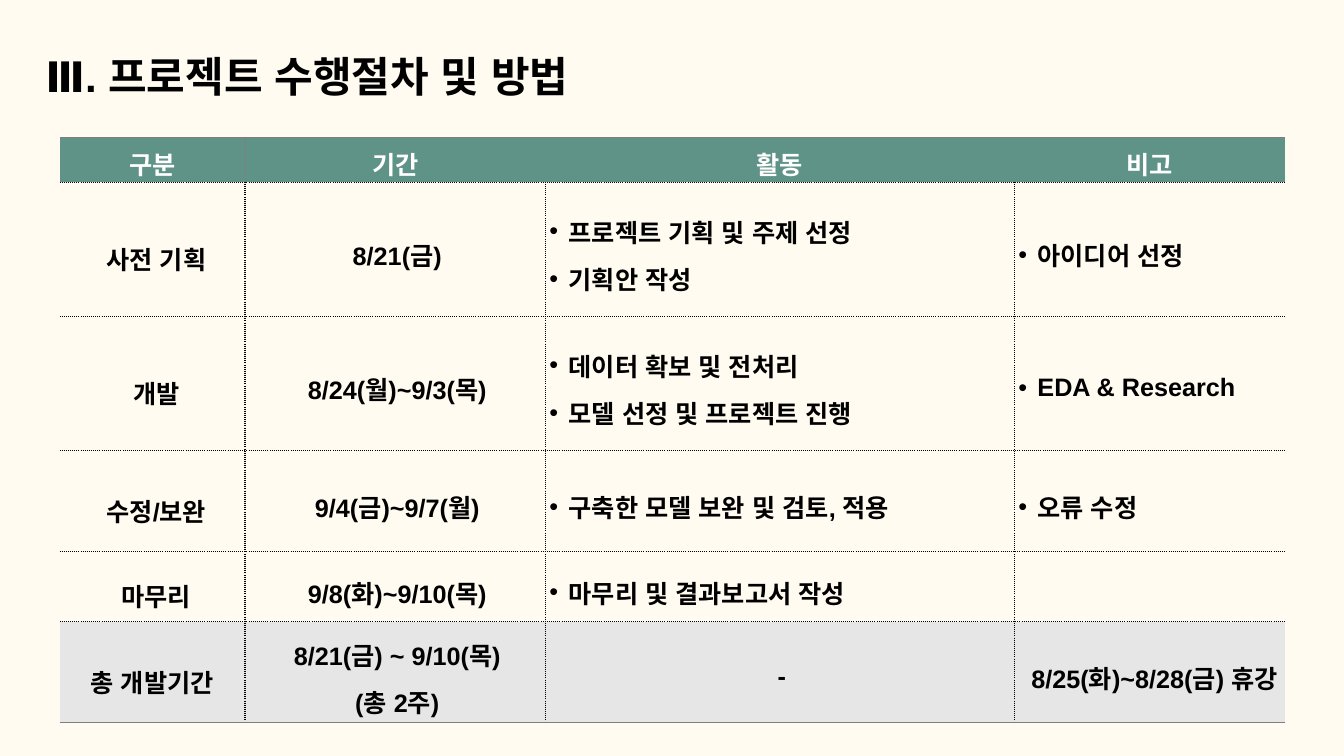
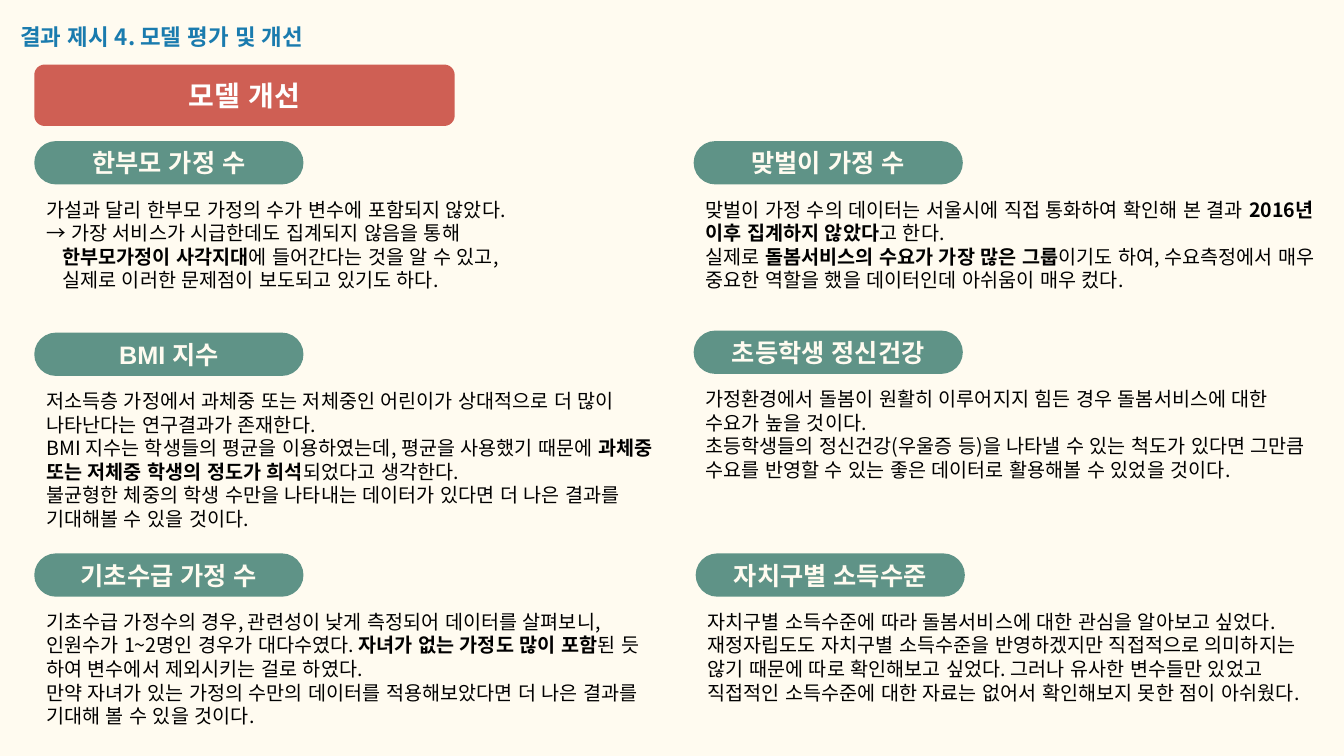
from lxml.etree import SubElement
from pptx import Presentation
from pptx.dml.color import RGBColor
from pptx.enum.lang import MSO_LANGUAGE_ID as Language
from pptx.enum.shapes import MSO_SHAPE as Shape
from pptx.enum.text import MSO_ANCHOR as Anchor, MSO_AUTO_SIZE as AutoSize, PP_ALIGN as Align
from pptx.oxml.ns import qn
from pptx.util import Inches, Pt

COLORS = {
    "cream": "FFFBF0",
    "green": "5F9387",
    "red": "CF5F54",
    "blue": "1A7BAE",
    "total": "E7E6E6",
    "rule": "7F7F7F",
    "black": "000000",
    "white": "FFFFFF",
}
HEADING_FONT = "Arial"
BODY_FONT = "Noto Sans CJK KR"
LABEL_FONT = "Roboto Condensed"

CARD_CORNERS = (
    ((0.34, 1.4), (0.34, 3.3), (0.34, 5.49)),
    ((6.88, 1.4), (6.88, 3.28), (6.9, 5.49)),
)
PILL_SIZE = (2.67, 0.43)
BODY_OFFSET = (0.02, 0.46)
BODY_SIZE = (6.32, 0.84)

COLUMN_WIDTHS = (1.84, 2.98, 4.65, 2.69)
ROW_HEIGHTS = (0.45, 1.33, 1.33, 1, 0.7, 1)
HEADERS = ("구분", "기간", "활동", "비고")
SCHEDULE = (
    ("사전 기획", ["8/21(금)"], ["프로젝트 기획 및 주제 선정", "기획안 작성"], ["아이디어 선정"]),
    ("개발", ["8/24(월)~9/3(목)"], ["데이터 확보 및 전처리", "모델 선정 및 프로젝트 진행"], ["EDA & Research"]),
    ("수정/보완", ["9/4(금)~9/7(월)"], ["구축한 모델 보완 및 검토, 적용"], ["오류 수정"]),
    ("마무리", ["9/8(화)~9/10(목)"], ["마무리 및 결과보고서 작성"], []),
)
TOTAL = ("총 개발기간", ["8/21(금) ~ 9/10(목)", "(총 2주)"], ["-"], ["8/25(화)~8/28(금) 휴강"])

CARDS = (
    (0, 0, "한부모 가정 수", (
        (0, "가설과 달리 한부모 가정의 수가 변수에 포함되지 않았다."),
        (0, "→ 가장 서비스가 시급한데도 집계되지 않음을 통해"),
        (0.16, "**한부모가정이 사각지대**에 들어간다는 것을 알 수 있고,"),
        (0.16, "실제로 이러한 문제점이 보도되고 있기도 하다."),
    )),
    (0, 1, "BMI 지수", (
        (0, "저소득층 가정에서 과체중 또는 저체중인 어린이가 상대적으로 더 많이 나타난다는 연구결과가 존재한다."),
        (0, "BMI 지수는 학생들의 평균을 이용하였는데, 평균을 사용했기 때문에 "
            "**과체중 또는 저체중 학생의 정도가 희석**되었다고 생각한다."),
        (0, "불균형한 체중의 학생 수만을 나타내는 데이터가 있다면 더 나은 결과를 기대해볼 수 있을 것이다."),
    )),
    (0, 2, "기초수급 가정 수", (
        (0, "기초수급 가정수의 경우, 관련성이 낮게 측정되어 데이터를 살펴보니, 인원수가 1~2명인 경우가 대다수였다. "
            "**자녀가 없는 가정도 많이 포함**된 듯 하여 변수에서 제외시키는 걸로 하였다."),
        (0, "만약 자녀가 있는 가정의 수만의 데이터를 적용해보았다면 더 나은 결과를 기대해 볼 수 있을 것이다."),
    )),
    (1, 0, "맞벌이 가정 수", (
        (0, "맞벌이 가정 수의 데이터는 서울시에 직접 통화하여 확인해 본 결과 "
            "**2016년 이후 집계하지 않았다**고 한다."),
        (0, "실제로 **돌봄서비스의 수요가 가장 많은 그룹**이기도 하여, "
            "수요측정에서 매우 중요한 역할을 했을 데이터인데 아쉬움이 매우 컸다."),
    )),
    (1, 1, "초등학생 정신건강", (
        (0, "가정환경에서 돌봄이 원활히 이루어지지 힘든 경우 돌봄서비스에 대한 수요가 높을 것이다."),
        (0, "초등학생들의 정신건강(우울증 등)을 나타낼 수 있는 척도가 있다면 "
            "그만큼 수요를 반영할 수 있는 좋은 데이터로 활용해볼 수 있었을 것이다."),
    )),
    (1, 2, "자치구별 소득수준", (
        (0, "자치구별 소득수준에 따라 돌봄서비스에 대한 관심을 알아보고 싶었다. "
            "재정자립도도 자치구별 소득수준을 반영하겠지만 직접적으로 의미하지는 않기 때문에 따로 확인해보고 싶었다. "
            "그러나 유사한 변수들만 있었고 직접적인 소득수준에 대한 자료는 없어서 확인해보지 못한 점이 아쉬웠다."),
    )),
)


def rgb(name):
    return RGBColor.from_string(COLORS[name])


def style(font, size, color, name=HEADING_FONT, bold=True):
    font.size = Pt(size)
    font.color.rgb = rgb(color)
    font.name = name
    font.bold = bold
    font.language_id = Language.KOREAN
    font._rPr.set("kern", "0")


def set_insets(frame, left, top, right, bottom):
    frame.margin_left, frame.margin_top = Inches(left), Inches(top)
    frame.margin_right, frame.margin_bottom = Inches(right), Inches(bottom)


def indent(paragraph, left, first=0):
    props = paragraph._p.get_or_add_pPr()
    props.set("marL", str(Inches(left)))
    props.set("indent", str(Inches(first)))
    return props


def add_bullet(paragraph):
    props = indent(paragraph, 0.19, -0.19)
    defaults = props.find(qn("a:defRPr"))
    bullet_color = SubElement(props, qn("a:buClr"))
    SubElement(bullet_color, qn("a:srgbClr")).set("val", COLORS["black"])
    SubElement(props, qn("a:buFont")).set("typeface", HEADING_FONT)
    SubElement(props, qn("a:buChar")).set("char", "•")
    props.append(defaults)


def add_title_slide(deck, box, runs, size, color):
    slide = deck.slides.add_slide(deck.slide_layouts[5])
    title = slide.shapes.title
    title.left, title.top, title.width, title.height = map(Inches, box)
    frame = title.text_frame
    frame.auto_size = AutoSize.NONE
    frame.word_wrap = True
    frame.vertical_anchor = Anchor.TOP
    set_insets(frame, 0.1, 0.1, 0.1, 0.1)
    heading = frame.paragraphs[0]
    heading.alignment = Align.LEFT
    for text, font_name in runs:
        run = heading.add_run()
        run.text = text
        style(run.font, size, color, font_name)
    return slide


def add_label(slide, box, text, fill, color, size, rounding):
    label = slide.shapes.add_shape(Shape.ROUNDED_RECTANGLE, *map(Inches, box))
    label.adjustments[0] = rounding
    label.shadow.inherit = False
    label.fill.solid()
    label.fill.fore_color.rgb = rgb(fill)
    label.line.fill.background()
    frame = label.text_frame
    frame.vertical_anchor = Anchor.MIDDLE
    caption = frame.paragraphs[0]
    caption.text = text
    caption.alignment = Align.CENTER
    style(caption.font, size, color)


def add_body(slide, box, lines):
    frame = slide.shapes.add_textbox(*map(Inches, box)).text_frame
    frame.word_wrap = True
    set_insets(frame, 0.1, 0.1, 0.1, 0.1)
    for index, (left, text) in enumerate(lines):
        paragraph = frame.add_paragraph() if index else frame.paragraphs[0]
        if left:
            indent(paragraph, left)
        for part, words in enumerate(text.split("**")):
            if words:
                run = paragraph.add_run()
                run.text = words
                style(run.font, 14, "black", BODY_FONT, part % 2 == 1)


def add_card(slide, column, row, heading, lines):
    left, top = CARD_CORNERS[column][row]
    add_label(slide, (left, top, *PILL_SIZE), heading, "green", "cream", 18, 0.5)
    add_body(slide, (left + BODY_OFFSET[0], top + BODY_OFFSET[1], *BODY_SIZE), lines)


def set_borders(cell, borders):
    props = cell._tc.get_or_add_tcPr()
    for side in "LRTB":
        line = SubElement(props, qn(f"a:ln{side}"))
        if side not in borders:
            SubElement(line, qn("a:noFill"))
            continue
        color, width, dash = borders[side]
        line.set("w", str(Pt(width)))
        fill = SubElement(line, qn("a:solidFill"))
        SubElement(fill, qn("a:srgbClr")).set("val", COLORS[color])
        SubElement(line, qn("a:prstDash")).set("val", dash)


def cell_borders(row, column):
    dotted, solid = ("black", 1, "sysDot"), ("rule", 0.75, "solid")
    last_row, last_column = len(ROW_HEIGHTS) - 1, len(COLUMN_WIDTHS) - 1
    borders = {"T": dotted if row else solid, "B": solid if row == last_row else dotted}
    if row:
        if column:
            borders["L"] = dotted
        if column < last_column:
            borders["R"] = dotted
    elif column < 2:
        borders["L" if column else "R"] = solid
    return borders


def fill_cell(cell, lines, left_inset, spacing, color="black", bulleted=False, centered=True):
    cell.vertical_anchor = Anchor.MIDDLE
    set_insets(cell, left_inset, 0, 0, 0)
    frame = cell.text_frame
    for index, text in enumerate(lines):
        paragraph = frame.add_paragraph() if index else frame.paragraphs[0]
        paragraph.line_spacing = spacing
        run = paragraph.add_run()
        run.text = text
        style(paragraph.font, 18, color)
        if bulleted:
            add_bullet(paragraph)
        elif centered:
            paragraph.alignment = Align.CENTER
        else:
            indent(paragraph, 0.19, -0.06)


def add_schedule(slide):
    rows, columns = len(ROW_HEIGHTS), len(COLUMN_WIDTHS)
    box = (0.59, 1.36, sum(COLUMN_WIDTHS), sum(ROW_HEIGHTS))
    table = slide.shapes.add_table(rows, columns, *map(Inches, box)).table
    table.first_row = table.horz_banding = False
    for column, width in zip(table.columns, COLUMN_WIDTHS):
        column.width = Inches(width)
    for row, height in zip(table.rows, ROW_HEIGHTS):
        row.height = Inches(height)

    fills = {0: "green", rows - 1: "total"}
    for row in range(rows):
        for column in range(columns):
            cell = table.cell(row, column)
            set_borders(cell, cell_borders(row, column))
            if row in fills:
                cell.fill.solid()
                cell.fill.fore_color.rgb = rgb(fills[row])
            else:
                cell.fill.background()

    for column, header in enumerate(HEADERS):
        fill_cell(table.cell(0, column), [header], 0, 1.2, "white")
    for row, (stage, *details) in enumerate((*SCHEDULE, TOTAL), 1):
        is_total = row == rows - 1
        fill_cell(table.cell(row, 0), [stage], 0 if is_total else 0.08, 1.5)
        for column, lines in enumerate(details, 1):
            bulleted = column > 1 and not is_total
            fill_cell(table.cell(row, column), lines, 0.04, 1.3,
                      bulleted=bulleted, centered=column < 3)


def main():
    deck = Presentation()
    deck.slide_width, deck.slide_height = Inches(13.33), Inches(7.5)
    background = deck.slide_master.background.fill
    background.solid()
    background.fore_color.rgb = rgb("cream")

    procedure = add_title_slide(deck, (0.35, 0.4, 5.81, 0.41),
                                [("Ⅲ. 프로젝트 수행절차 및 방법", HEADING_FONT)], 30, "black")
    add_schedule(procedure)

    improvement = add_title_slide(deck, (0.1, 0.13, 3.29, 0.45),
                                  [("결과 ", LABEL_FONT), ("제시 4. 모델 평가 및 개선", BODY_FONT)],
                                  16, "blue")
    add_label(improvement, (0.34, 0.64, 4.17, 0.61), "모델 개선", "red", "white", 20, 0.17)
    for card in CARDS:
        add_card(improvement, *card)

    deck.save("out.pptx")


if __name__ == "__main__":
    main()
